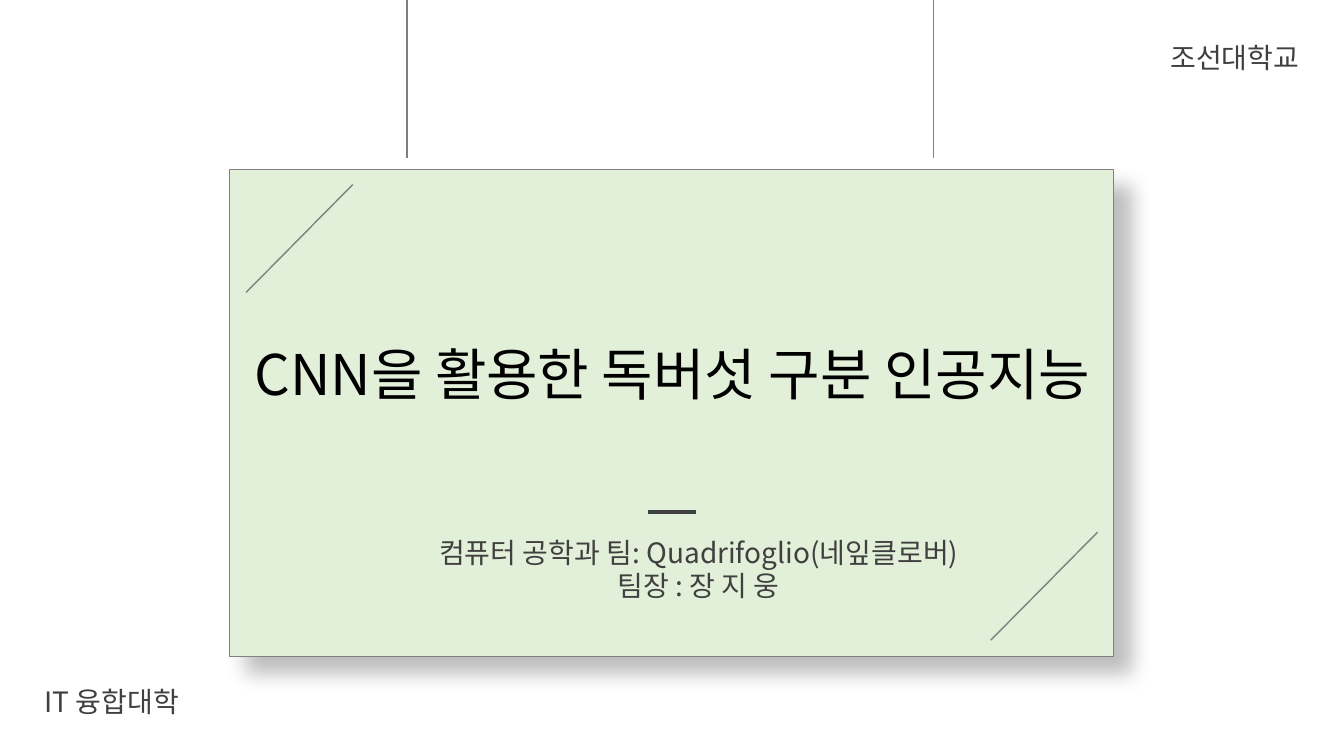
from dataclasses import dataclass

from lxml.etree import SubElement
from pptx import Presentation
from pptx.dml.color import RGBColor
from pptx.enum.shapes import MSO_CONNECTOR as Connector, MSO_SHAPE as Shape
from pptx.enum.text import MSO_AUTO_SIZE as AutoSize, PP_ALIGN as Align
from pptx.oxml.ns import qn
from pptx.util import Cm, Pt


@dataclass(frozen=True)
class Theme:
    font: str = "Noto Sans CJK KR"
    card: RGBColor = RGBColor(0xE2, 0xF0, 0xD9)
    outline: RGBColor = RGBColor(0x80, 0x80, 0x80)
    body: RGBColor = RGBColor(0x40, 0x40, 0x40)
    title: RGBColor = RGBColor(0, 0, 0)
    shadow: str = "000000"
    title_size: int = 40
    body_size: int = 20


theme = Theme()

presentation = Presentation()
presentation.slide_width = Cm(33.87)
presentation.slide_height = Cm(19.05)
slide = presentation.slides.add_slide(presentation.slide_layouts[6])


def add_line(x1, y1, x2, y2, color=theme.outline, width=1):
    line = slide.shapes.add_connector(
        Connector.STRAIGHT, Cm(x1), Cm(y1), Cm(x2), Cm(y2))
    line.line.color.rgb = color
    line.line.width = Pt(width)
    SubElement(line._element.spPr, qn("a:effectLst"))


def add_text(left, top, width, height, text, size=theme.body_size, color=theme.body):
    box = slide.shapes.add_textbox(Cm(left), Cm(top), Cm(width), Cm(height))
    text_frame = box.text_frame
    text_frame.word_wrap = True
    text_frame.auto_size = AutoSize.SHAPE_TO_FIT_TEXT
    text_frame.text = text
    for paragraph in text_frame.paragraphs:
        paragraph.alignment = Align.CENTER
        for run in paragraph.runs:
            run.font.name = theme.font
            run.font.size = Pt(size)
            run.font.color.rgb = color
            SubElement(run.font._element, qn("a:ea"), typeface=theme.font)


# Card with a soft shadow
card = slide.shapes.add_shape(
    Shape.RECTANGLE, Cm(5.79), Cm(4.27), Cm(22.28), Cm(12.27))
card.fill.solid()
card.fill.fore_color.rgb = theme.card
card.line.color.rgb = theme.outline
card.line.width = Pt(1)
card.shadow.inherit = False
effects = card._element.spPr.find(qn("a:effectLst"))
shadow = SubElement(effects, qn("a:outerShdw"), blurRad=str(Pt(15)),
                    dist=str(Pt(17)), dir=str(45 * 60000), algn="tl", rotWithShape="0")
shadow_color = SubElement(shadow, qn("a:srgbClr"), val=theme.shadow)
SubElement(shadow_color, qn("a:alpha"), val="25000")

# Hanging strings
for x in (10.26, 23.52):
    add_line(x, 0, x, 3.99)

# Corner diagonals
for right, top in ((8.89, 4.65), (27.66, 13.41)):
    add_line(right, top, right - 2.69, top + 2.72)

# Title, divider and team
add_text(5.97, 8.43, 21.95, 1.96, "CNN을 활용한 독버섯 구분 인공지능",
         theme.title_size, theme.title)
add_line(16.33, 12.9, 17.53, 12.9, theme.body, 3)
add_text(10.64, 13.36, 13.94, 1.96,
         "컴퓨터 공학과 팀: Quadrifoglio(네잎클로버)\n팀장 : 장 지 웅")

# University and college
add_text(28.91, 0.89, 4.42, 1.12, "조선대학교")
add_text(0.61, 17.12, 4.42, 1.12, "IT 융합대학")

presentation.save("out.pptx")
